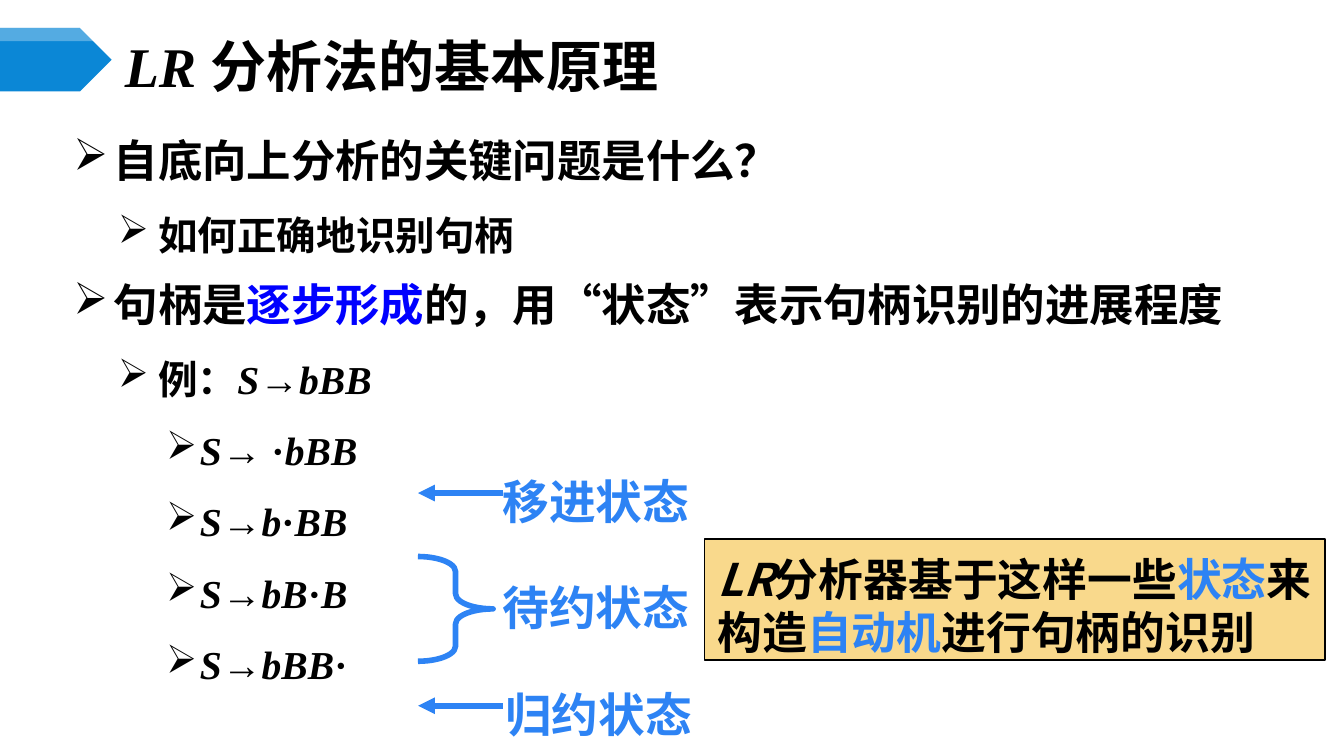
"""Build the slide on the basic principle of LR parsing."""
from lxml import etree
from pptx import Presentation
from pptx.dml.color import RGBColor
from pptx.enum import shapes, text
from pptx.oxml import ns
from pptx.util import Cm, Pt

BLACK = RGBColor(0, 0, 0)
WHITE = RGBColor(255, 255, 255)
BLUE = RGBColor(0, 0, 255)
SKY = RGBColor(0x2D, 0x83, 0xF4)
BAND = RGBColor(0x0B, 0x87, 0xD6)
SAND = RGBColor(0xF9, 0xD9, 0x8C)
SANS, SERIF = "Noto Sans CJK SC", "Times New Roman"

ITAL = (BLACK, True)
TITLE = [("LR ", *ITAL, SERIF), ("分析法的基本原理",)]
POINTS = [
    (0, [("自底向上分析的关键问题是什么？",)]),
    (1, [("如何正确地识别句柄",)]),
    (0, [("句柄是",), ("逐步形成", BLUE), ("的，用“状态”表示句柄识别的进展程度",)]),
    (1, [("例：",), ("S", *ITAL), ("→",), ("bBB", *ITAL)]),
    (2, [("S", *ITAL), ("→ ·",), ("bBB", *ITAL)]),
    (2, [("S", *ITAL), ("→",), ("b", *ITAL), ("·",), ("BB", *ITAL)]),
    (2, [("S", *ITAL), ("→",), ("bB", *ITAL), ("·",), ("B", *ITAL)]),
    (2, [("S", *ITAL), ("→",), ("bBB", *ITAL), ("·",)]),
]
LEVELS = [(0.76, 0.76, 23.8, 7), (1.6, 0.76, 21.2, 6.2), (2.39, 0.64, 21.2, 6.2)]
STATES = [("移进状态", 9.5, 6.4, True), ("待约状态", 9.5, 3.84, False),
          ("归约状态", 9.55, 7.59, True)]
NOTE = [("LR", *ITAL), ("分析器基于这样一些",), ("状态", SKY), ("来构造",),
        ("自动机", SKY), ("进行句柄的识别",)]


def sub(node, tag, **attrs):
    return etree.SubElement(node, ns.qn(tag), **attrs)


def frame(shape, side=0.25, top=0.13):
    box = shape.text_frame
    box.word_wrap = True
    box.margin_left = box.margin_right = Cm(side)
    box.margin_top, box.margin_bottom = Cm(top), Cm(0.13)
    box.vertical_anchor = text.MSO_ANCHOR.TOP
    return box


def write(para, runs, size, face=SANS, line=None):
    para.alignment = text.PP_ALIGN.LEFT
    if line:
        para.line_spacing = Pt(line)
    font = para.font
    font.size, font.bold, font.name = Pt(size), True, face
    sub(font._element, "a:ea", typeface=SANS)
    for words, *style in runs:
        color, slant, name = (style + [BLACK, False, None][len(style):])
        run = para.add_run()
        run.text = words
        run.font.color.rgb = color
        run.font.italic = slant
        if name:
            run.font.name = name


def bullet(para, level):
    left, hang, size, gap = LEVELS[level]
    para.level = level
    props = para._p.get_or_add_pPr()
    props.set("marL", str(Cm(left)))
    props.set("indent", str(-Cm(hang)))
    tint = sub(props, "a:buClr")
    sub(tint, "a:srgbClr", val=str(BLACK))
    sub(props, "a:buChar", char="➢")
    return size, gap


def solid(kind, spot, fill=None):
    shape = slide.shapes.add_shape(kind, *map(Cm, spot))
    shape.shadow.inherit = False
    if fill is None:
        shape.fill.background()
    else:
        shape.fill.solid()
        shape.fill.fore_color.rgb = fill
    shape.line.fill.background()
    return shape


def stroke(line, color, width):
    line.color.rgb = color
    line.width = Pt(width)


def arrow(start, end, y):
    link = slide.shapes.add_connector(
        shapes.MSO_CONNECTOR.STRAIGHT, *map(Cm, (start, y, end, y)))
    stroke(link.line, SKY, 3)
    sub(link.line._get_or_add_ln(), "a:tailEnd", type="triangle")
    sub(link._element.spPr, "a:effectLst")


deck = Presentation()
deck.slide_width, deck.slide_height = Cm(25.4), Cm(14.29)
slide = deck.slides.add_slide(deck.slide_layouts[6])
kind = shapes.MSO_SHAPE

solid(kind.PENTAGON, (0, 0.53, 2.11, 1.2), BAND)
gloss = solid(kind.PENTAGON, (0, 0.53, 2.11, 0.25), WHITE)
shade = gloss._element.spPr.find(ns.qn("a:solidFill"))[0]
sub(shade, "a:alpha", val="30000")

body = frame(slide.shapes.add_textbox(*map(Cm, (1.14, 2.18, 23.06, 8.97))), top=0.22)
for num, (level, runs) in enumerate(POINTS):
    para = body.add_paragraph() if num else body.paragraphs[0]
    size, gap = bullet(para, level)
    if num:
        para.space_before = Pt(gap)
    write(para, runs, size, SERIF if num > 2 else SANS, 32)

head = frame(slide.shapes.add_textbox(*map(Cm, (2.11, 0.74, 22.02, 0.99))))
head.vertical_anchor = text.MSO_ANCHOR.MIDDLE
write(head.paragraphs[0], TITLE, 30)

for num, (label, left, wide, single) in enumerate(STATES):
    top = 8.74 + 2.01 * num
    box = frame(slide.shapes.add_textbox(*map(Cm, (left, top, wide, 1.32))), 0, 0.2)
    write(box.paragraphs[0], [(label, SKY)], 25, SERIF, 30)
    if single:
        arrow(9.5, 7.9, top + 0.58)

brace = solid(kind.RIGHT_BRACE, (7.9, 10.52, 1.42, 1.98))
brace.adjustments[0] = 0.2
stroke(brace.line, SKY, 3)

card = solid(kind.RECTANGLE, (13.31, 10.19, 11.73, 2.29), SAND)
stroke(card.line, BLACK, 0.75)
write(frame(card, top=0.25).paragraphs[0], NOTE, 24, line=28.4)

deck.save("out.pptx")
